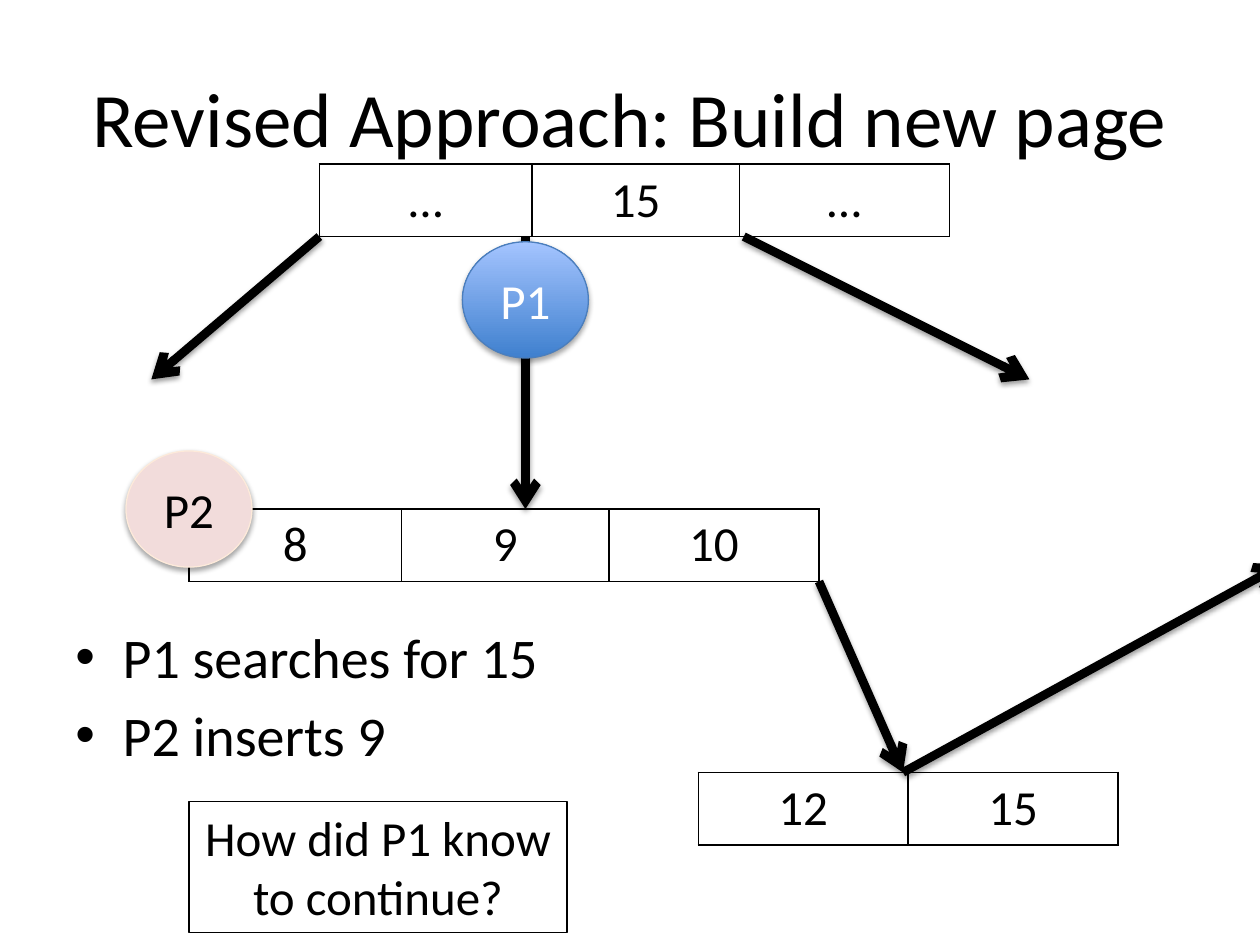
from lxml.etree import SubElement
from pptx import Presentation
from pptx.dml.color import RGBColor
from pptx.enum.shapes import MSO_CONNECTOR, MSO_SHAPE
from pptx.enum.text import MSO_ANCHOR, PP_ALIGN
from pptx.oxml import parse_xml
from pptx.oxml.ns import nsdecls, qn
from pptx.util import Pt

FONT = "Calibri"
BLACK = "000000"
WHITE = "FFFFFF"
ROW_HEIGHT = 41.4
NODE_WIDTHS = (121.5, 118.5, 120)


def color(value):
    """Turn a hex string into a colour."""
    return RGBColor.from_string(value)


def style_text(text_frame, size, text_color=BLACK, alignment=PP_ALIGN.CENTER):
    """Align every paragraph and format its runs."""
    for paragraph in text_frame.paragraphs:
        paragraph.alignment = alignment
        for run in paragraph.runs:
            run.font.size = Pt(size)
            run.font.name = FONT
            run.font.color.rgb = color(text_color)


def add_shadow(shape, opacity, distance):
    """Give a shape or connector a soft shadow below it."""
    properties = shape._element.spPr
    for effects in properties.findall(qn("a:effectLst")):
        properties.remove(effects)
    properties.append(parse_xml(
        f'<a:effectLst {nsdecls("a")}><a:outerShdw blurRad="{Pt(3.1)}" dist="{Pt(distance)}" '
        f'dir="5400000" rotWithShape="0"><a:srgbClr val="{BLACK}">'
        f'<a:alpha val="{opacity * 1000}"/></a:srgbClr></a:outerShdw></a:effectLst>'))


def add_text(slide, box, text):
    """Add a wrapping text box."""
    text_frame = slide.shapes.add_textbox(*map(Pt, box)).text_frame
    text_frame.word_wrap = True
    text_frame.text = text
    return text_frame


def add_title(slide, box, text):
    """Add the centred slide title."""
    text_frame = add_text(slide, box, text)
    text_frame.vertical_anchor = MSO_ANCHOR.MIDDLE
    style_text(text_frame, 44)


def add_bullets(slide, box, lines):
    """Add the bulleted list."""
    text_frame = add_text(slide, box, "\n".join(lines))
    style_text(text_frame, 32, alignment=PP_ALIGN.LEFT)
    for paragraph in text_frame.paragraphs:
        paragraph.space_before = Pt(6.4)
        properties = paragraph._p.get_or_add_pPr()
        properties.set("marL", str(Pt(27)))
        properties.set("indent", str(Pt(-27)))
        SubElement(properties, qn("a:buFont"), typeface="Arial")
        SubElement(properties, qn("a:buChar"), char="•")


def add_node(slide, left, top, keys, widths):
    """Add a tree node as a one-row table of keys."""
    frame = slide.shapes.add_table(1, len(keys), Pt(left), Pt(top), Pt(sum(widths)), Pt(ROW_HEIGHT))
    table = frame.table
    table.first_row = table.horz_banding = False
    for column, width, cell, key in zip(table.columns, widths, table.rows[0].cells, keys):
        column.width = Pt(width)
        cell.text_frame.text = key
        style_text(cell.text_frame, 28)
        cell.fill.background()
        properties = cell._tc.get_or_add_tcPr()
        for position, side in enumerate("LRTB"):
            properties.insert(position, parse_xml(
                f'<a:ln{side} {nsdecls("a")} w="{Pt(1)}"><a:solidFill>'
                f'<a:srgbClr val="{BLACK}"/></a:solidFill></a:ln{side}>'))


def add_pointer(slide, start, end):
    """Add a thick arrow between two points."""
    pointer = slide.shapes.add_connector(MSO_CONNECTOR.STRAIGHT, *map(Pt, start + end))
    pointer.line.color.rgb = color(BLACK)
    pointer.line.width = Pt(5)
    SubElement(pointer.line._get_or_add_ln(), qn("a:tailEnd"), type="arrow")
    add_shadow(pointer, 38, 1.6)


def add_label(slide, kind, box, text, line_color, text_color=BLACK):
    """Add an outlined shape with centred text."""
    shape = slide.shapes.add_shape(kind, *map(Pt, box))
    shape.shadow.inherit = False
    shape.line.color.rgb = color(line_color)
    shape.line.width = Pt(0.75)
    text_frame = shape.text_frame
    text_frame.word_wrap = True
    text_frame.text = text
    text_frame.vertical_anchor = MSO_ANCHOR.MIDDLE
    style_text(text_frame, 28, text_color)
    return shape


def add_process(slide, left, top, name, fills, line_color, text_color):
    """Add a process circle with a plain or gradient fill."""
    circle = add_label(slide, MSO_SHAPE.OVAL, (left, top, 72, 66.4), name, line_color, text_color)
    if len(fills) == 1:
        circle.fill.solid()
        circle.fill.fore_color.rgb = color(fills[0])
    else:
        circle.fill.gradient()
        circle.fill.gradient_angle = 90
        for position, (stop, value) in enumerate(zip(circle.fill.gradient_stops, fills)):
            stop.position = position
            stop.color.rgb = color(value)
    add_shadow(circle, 35, 1.8)


def add_question(slide, box, text):
    """Add the boxed question."""
    question = add_label(slide, MSO_SHAPE.RECTANGLE, box, text, BLACK)
    question.fill.solid()
    question.fill.fore_color.rgb = color(WHITE)
    question.text_frame.vertical_anchor = MSO_ANCHOR.TOP


def add_tree(slide, left, top):
    """Add the nodes, pointers and processes from the root's corner."""
    root_bottom = top + ROW_HEIGHT
    leaf_left, leaf_top = left - 74.5, top + 197.1
    leaf_right, leaf_bottom = leaf_left + sum(NODE_WIDTHS), leaf_top + ROW_HEIGHT
    new_left, new_top = left + 216.5, top + 347.6
    new_middle = (new_left + 117, new_top)
    down = left + 117.75
    add_node(slide, leaf_left, leaf_top, ("8", "9", "10"), NODE_WIDTHS)
    add_node(slide, left, top, ("…", "15", "…"), NODE_WIDTHS)
    add_node(slide, new_left, new_top, ("12", "15"), (120, 120))
    for start, end in (
        ((down, root_bottom), (down, leaf_top)),
        ((left + 242.5, root_bottom), (left + 405.8, top + 123)),
        ((left, root_bottom), (left - 96, top + 123)),
        ((leaf_right, leaf_bottom), new_middle),
        (new_middle, (left + 549.8, top + 229)),
    ):
        add_pointer(slide, start, end)
    add_process(slide, leaf_left - 36, leaf_top - 33.2, "P2", ("F2DCDB",), "FDEADA", BLACK)
    add_process(slide, down - 36, root_bottom + 3, "P1", ("3F80CE", "A4C4FF"), "4B7EBC", WHITE)


def main():
    """Build and save the slide."""
    presentation = Presentation()
    presentation.slide_width, presentation.slide_height = Pt(720), Pt(540)
    slide = presentation.slides.add_slide(presentation.slide_layouts[6])
    add_title(slide, (36, 21.6, 648, 90), "Revised Approach: Build new page")
    add_bullets(slide, (36, 352, 648, 130), ("P1 searches for 15", "P2 inserts 9"))
    add_tree(slide, 182.5, 93.8)
    add_question(slide, (108, 458, 216, 75), "How did P1 know to continue?")
    presentation.save("out.pptx")


main()
